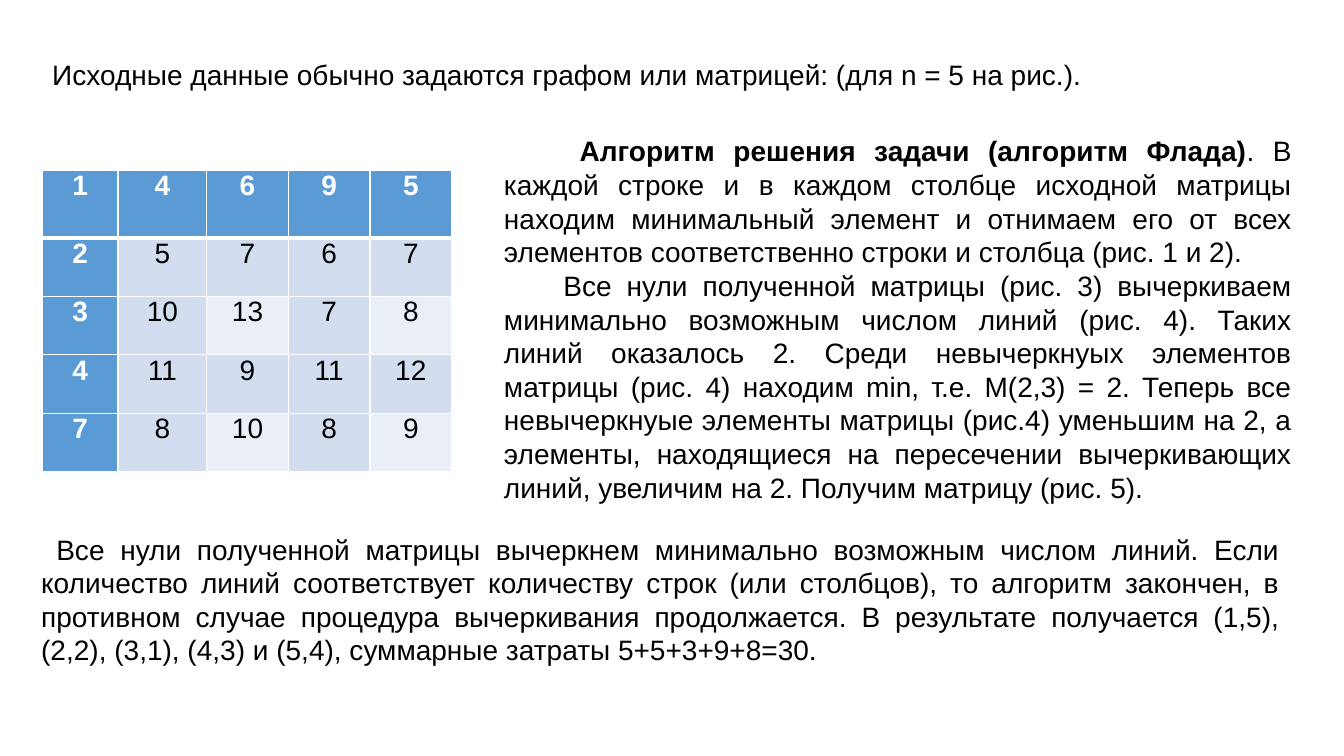
from lxml import etree
from pptx import Presentation
from pptx.dml.color import RGBColor
from pptx.enum.text import MSO_AUTO_SIZE, PP_ALIGN
from pptx.oxml.ns import qn
from pptx.util import Emu, Pt

EMU_PER_PX = 9144  # 100 px to the inch
CENTER, JUSTIFY = PP_ALIGN.CENTER, PP_ALIGN.JUSTIFY
GROW = MSO_AUTO_SIZE.SHAPE_TO_FIT_TEXT
BLANK_LAYOUT = 6

COLORS = {
    "text": "000000",
    "white": "FFFFFF",
    "header": "5B9BD5",
    "band": "D2DEEF",
    "light": "EAEFF7",
}

MATRIX = [
    [1, 4, 6, 9, 5],
    [2, 5, 7, 6, 7],
    [3, 10, 13, 7, 8],
    [4, 11, 9, 11, 12],
    [7, 8, 10, 8, 9],
]
COLUMN_WIDTHS = [75, 88, 81, 81, 81]
ROW_HEIGHTS = [67, 58, 58, 58, 58]

# Each paragraph: first-line indent in px, then (text, bold) runs
INTRO = [(0, [("Исходные данные обычно задаются графом или матрицей: (для n = 5 на рис.).", False)])]
ALGORITHM = [
    (75, [
        ("Алгоритм решения задачи (алгоритм Флада)", True),
        (". В каждой строке и в каждом столбце исходной матрицы находим минимальный элемент "
         "и отнимаем его от всех элементов соответственно строки и столбца (рис. 1 и 2).", False),
    ]),
    (59, [
        ("Все нули полученной матрицы (рис. 3) вычеркиваем минимально возможным числом линий "
         "(рис. 4). Таких линий оказалось 2. Среди невычеркнуых элементов матрицы (рис. 4) "
         "находим min, т.е. M(2,3) = 2. Теперь все невычеркнуые элементы матрицы (рис.4) "
         "уменьшим на 2, а элементы, находящиеся на пересечении вычеркивающих линий, "
         "увеличим на 2. Получим матрицу (рис. 5).", False),
    ]),
]
RESULT = [
    (15, [
        ("Все нули полученной матрицы вычеркнем минимально возможным числом линий. Если "
         "количество линий соответствует количеству строк (или столбцов), то алгоритм закончен, "
         "в противном случае процедура вычеркивания продолжается. В результате получается "
         "(1,5), (2,2), (3,1), (4,3) и (5,4), суммарные затраты 5+5+3+9+8=30.", False),
    ]),
]


def px(length):
    return Emu(length * EMU_PER_PX)


class SlideBuilder:
    def __init__(self, slide):
        self.slide = slide
        self.font_format = {"name": "Arial", "size": Pt(20)}

    def style_font(self, font, color, bold):
        for name, value in {**self.font_format, "bold": bold}.items():
            setattr(font, name, value)
        font.color.rgb = RGBColor.from_string(COLORS[color])

    def text(self, left, top, width, height, paragraphs):
        box = self.slide.shapes.add_textbox(px(left), px(top), px(width), px(height))
        frame = box.text_frame
        frame.word_wrap = True
        frame.auto_size = GROW
        for number, (indent, runs) in enumerate(paragraphs):
            paragraph = frame.add_paragraph() if number else frame.paragraphs[0]
            paragraph.alignment = JUSTIFY
            if indent:
                paragraph._p.get_or_add_pPr().set("indent", str(px(indent)))
            for content, bold in runs:
                run = paragraph.add_run()
                run.text = content
                self.style_font(run.font, "text", bold)

    def borders(self, cell, widths):
        """Draw white borders; widths maps L, R, T, B to points."""
        properties = cell._tc.get_or_add_tcPr()
        for side, width in widths.items():
            line = etree.SubElement(properties, qn(f"a:ln{side}"), w=str(Pt(width)))
            fill = etree.SubElement(line, qn("a:solidFill"))
            etree.SubElement(fill, qn("a:srgbClr"), val=COLORS["white"])

    def table(self, left, top, column_widths, row_heights, values):
        table = self.slide.shapes.add_table(
            len(row_heights), len(column_widths), px(left), px(top),
            px(sum(column_widths)), px(sum(row_heights))).table
        for column, width in zip(table.columns, column_widths):
            column.width = px(width)
        for row, height in zip(table.rows, row_heights):
            row.height = px(height)
        for row, row_values in enumerate(values):
            for column, value in enumerate(row_values):
                self.cell(table.cell(row, column), row, column, value)

    def cell(self, cell, row, column, value):
        is_header = row == 0 or column == 0
        is_light = row % 2 == 0 and column % 2 == 0
        fill = "header" if is_header else "light" if is_light else "band"
        margins = {"margin_left": px(7), "margin_right": px(7),
                   "margin_top": 0, "margin_bottom": 0}
        for name, length in margins.items():
            setattr(cell, name, length)
        self.borders(cell, {"L": 1, "R": 1, "T": 3 if row == 1 else 1,
                            "B": 3 if row == 0 else 1})
        cell.fill.solid()
        cell.fill.fore_color.rgb = RGBColor.from_string(COLORS[fill])
        paragraph = cell.text_frame.paragraphs[0]
        paragraph.alignment = CENTER
        run = paragraph.add_run()
        run.text = str(value)
        self.style_font(run.font, "white" if is_header else "text", is_header)


def main():
    presentation = Presentation()
    presentation.slide_width = px(1333)
    presentation.slide_height = px(750)
    slide = presentation.slides.add_slide(presentation.slide_layouts[BLANK_LAYOUT])
    builder = SlideBuilder(slide)
    builder.text(42, 52, 1237, 44, INTRO)
    builder.table(42, 169, COLUMN_WIDTHS, ROW_HEIGHTS, MATRIX)
    builder.text(490, 128, 801, 380, ALGORITHM)
    builder.text(31, 523, 1248, 145, RESULT)
    presentation.save("out.pptx")


if __name__ == "__main__":
    main()
